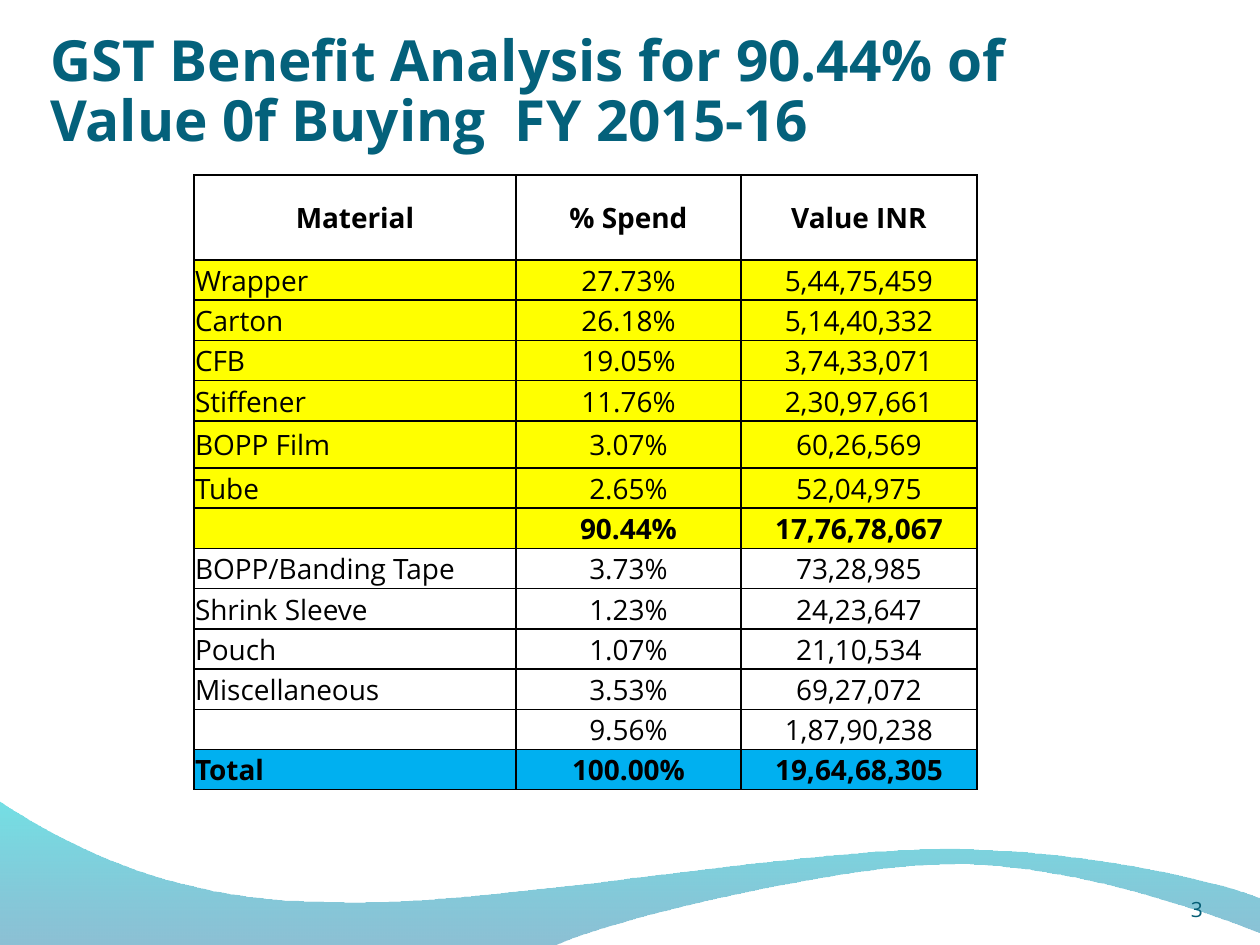
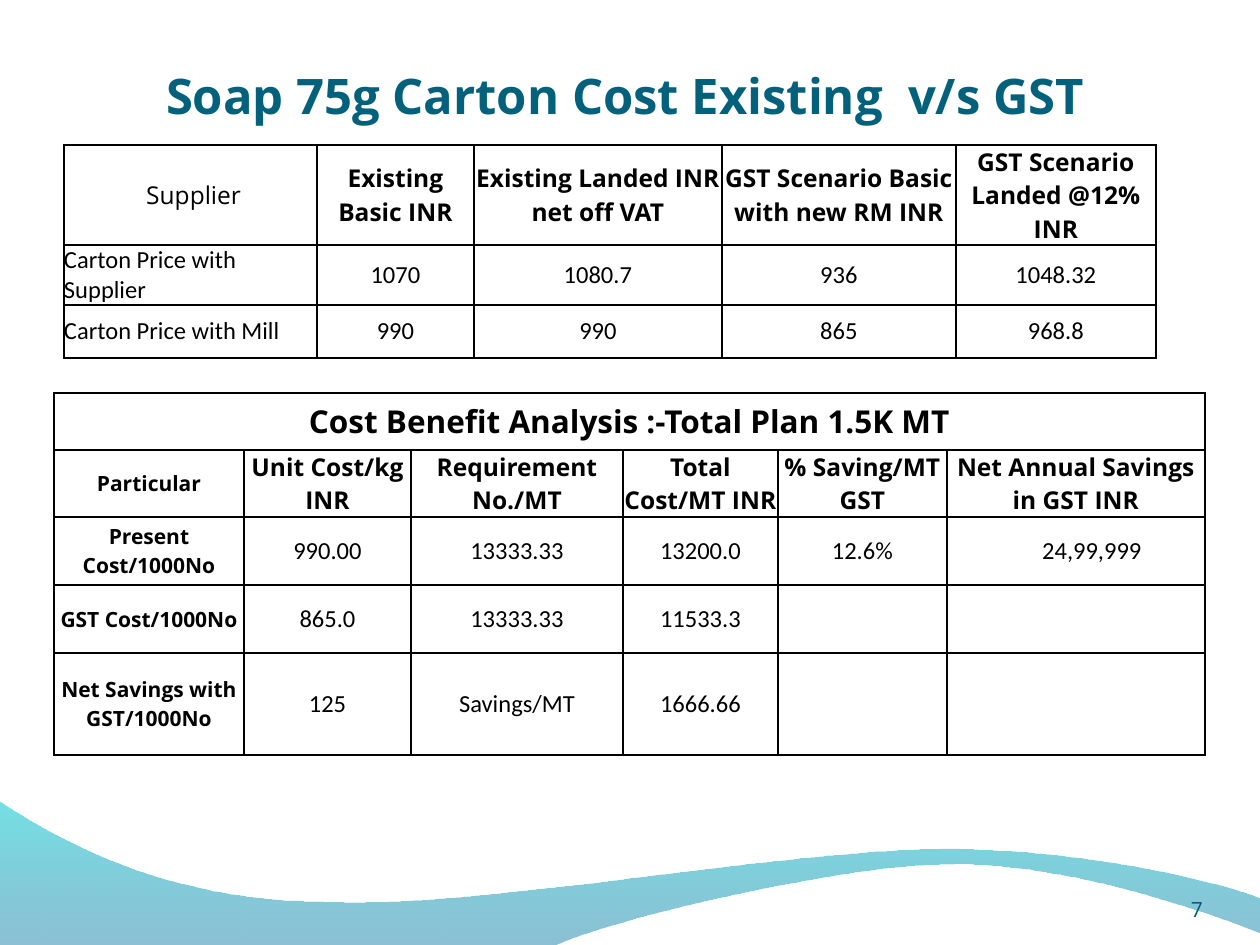
from lxml.etree import SubElement
from pptx import Presentation
from pptx.dml.color import RGBColor
from pptx.enum.text import MSO_ANCHOR, MSO_AUTO_SIZE, PP_ALIGN
from pptx.oxml import parse_xml
from pptx.oxml.ns import nsdecls, qn
from pptx.util import Pt

PX = 914400 / 126
PAGE_W, PAGE_H = 1260, 945

WHITE = RGBColor(0xFF, 0xFF, 0xFF)
BLACK = RGBColor(0, 0, 0)
YELLOW = RGBColor(0xFF, 0xFF, 0)
SKY = RGBColor(0, 0xB0, 0xF0)
TITLE_TEAL = RGBColor(0x04, 0x61, 0x7B)
NUMBER_TEAL = RGBColor(0x04, 0x5D, 0x75)
WAVE_STOPS = [(RGBColor(0, 0x74, 0xA1), 45), (RGBColor(0, 0xC6, 0xCF), 55)]

SANS, BODY = "Open Sans", "Calibri"

# Each curve: two control points and an end point; a single point is a line.
WAVE_START = (0, 945)
WAVE = [
    [(554, 945)],
    [(600, 922), (837, 864), (955, 864)],
    [(1075, 864), (1207, 912), (1260, 932)],
    [(1261, 898)],
    [(1239, 888), (1096, 848), (940, 849)],
    [(784, 849), (481, 908), (324, 901)],
    [(163, 900), (58, 839), (-1, 801)],
]

SPEND = [
    ("Material", "% Spend", "Value INR"),
    ("Wrapper", "27.73%", "5,44,75,459"),
    ("Carton", "26.18%", "5,14,40,332"),
    ("CFB", "19.05%", "3,74,33,071"),
    ("Stiffener", "11.76%", "2,30,97,661"),
    ("BOPP Film", "3.07%", "60,26,569"),
    ("Tube", "2.65%", "52,04,975"),
    ("", "90.44%", "17,76,78,067"),
    ("BOPP/Banding Tape", "3.73%", "73,28,985"),
    ("Shrink Sleeve", "1.23%", "24,23,647"),
    ("Pouch", "1.07%", "21,10,534"),
    ("Miscellaneous", "3.53%", "69,27,072"),
    ("", "9.56%", "1,87,90,238"),
    ("Total", "100.00%", "19,64,68,305"),
]
SPEND_HEIGHT, HEADER_HEIGHT, FILM_HEIGHT = 615, 85, 47
FILM_ROW, SUBTOTAL_ROW, TOTAL_ROW = 5, 7, 13

SUPPLIERS = [
    ("\u00a0Supplier", "Existing Basic INR", "Existing Landed INR net off VAT",
     "GST Scenario Basic with new RM INR", "GST Scenario Landed @12% INR"),
    ("Carton Price with Supplier", "1070", "1080.7", "936", "1048.32"),
    ("Carton Price with Mill", "990", "990", "865", "968.8"),
]

BENEFIT = [
    ("Cost Benefit Analysis :-Total Plan 1.5K MT", "", "", "", "", ""),
    ("Particular", "Unit Cost/kg INR", "Requirement No./MT",
     "Total Cost/MT INR", "% Saving/MT GST", "Net Annual Savings in GST INR"),
    ("Present Cost/1000No", "990.00", "13333.33", "13200.0", "12.6%",
     "24,99,999"),
    ("GST Cost/1000No", "865.0", "13333.33", "11533.3", "", ""),
    ("Net Savings with GST/1000No", "125", "Savings/MT", "1666.66", "", ""),
]


def px(length):
    """Turn pixels into whole EMU."""
    return round(length * PX)


def style_runs(paragraph, font, size, bold, color):
    """Format every run of a paragraph."""
    for run in paragraph.runs:
        run.font.name, run.font.size = font, Pt(size)
        run.font.bold, run.font.color.rgb = bold, color


def wave_points(steps=24):
    """Trace the wave outline as a list of points."""
    points = [WAVE_START]
    for segment in WAVE:
        if len(segment) == 1:
            points += segment
            continue
        corners = [points[-1]] + segment
        for step in range(1, steps + 1):
            t = step / steps
            weights = ((1 - t) ** 3, 3 * t * (1 - t) ** 2,
                       3 * t * t * (1 - t), t ** 3)
            points.append(tuple(sum(w * c[axis] for w, c in zip(weights, corners))
                                for axis in (0, 1)))
    return points


def add_wave(slide):
    """Draw the wave and hand it to the layout that all slides share."""
    start, *others = [(px(x), px(y)) for x, y in wave_points()]
    builder = slide.shapes.build_freeform(*start)
    builder.add_line_segments(others, close=True)
    wave = builder.convert_to_shape()
    wave.shadow.inherit = False
    wave.line.fill.background()
    wave.fill.gradient()
    wave.fill.gradient_angle = 90
    for stop, (color, opacity) in zip(wave.fill.gradient_stops, WAVE_STOPS):
        stop.color.rgb = color
    colors = wave.element.spPr.iter(qn("a:srgbClr"))
    for node, (color, opacity) in zip(colors, WAVE_STOPS):
        SubElement(node, qn("a:alpha")).set("val", str(opacity * 1000))
    slide.slide_layout.shapes.element.insert(2, wave.element)


def add_slide(deck, title, box, size, align, number):
    """Add a slide with its title and page number."""
    slide = deck.slides.add_slide(deck.slide_layouts[5])
    heading = slide.shapes.title
    heading.left, heading.top, heading.width, heading.height = map(px, box)
    frame = heading.text_frame
    frame.text = title
    frame.word_wrap, frame.auto_size = True, MSO_AUTO_SIZE.NONE
    frame.vertical_anchor = MSO_ANCHOR.BOTTOM
    frame.margin_left = frame.margin_right = frame.margin_top = px(6)
    frame.margin_bottom = px(1)
    paragraph = frame.paragraphs[0]
    paragraph.alignment, paragraph.line_spacing = align, 0.89
    style_runs(paragraph, SANS, size, True, TITLE_TEAL)

    page = slide.shapes.add_textbox(px(1155), px(872), px(84), px(50)).text_frame
    page.text = str(number)
    page.word_wrap, page.vertical_anchor = True, MSO_ANCHOR.BOTTOM
    page.margin_left = page.margin_right = page.margin_top = page.margin_bottom = 0
    page.paragraphs[0].alignment = PP_ALIGN.CENTER
    style_runs(page.paragraphs[0], SANS, 12, False, NUMBER_TEAL)
    return slide


def add_borders(cell):
    """Give a cell thin black lines on all sides."""
    properties = cell._tc.get_or_add_tcPr()
    for place, side in enumerate(("lnL", "lnR", "lnT", "lnB")):
        properties.insert(place, parse_xml(
            f'<a:{side} {nsdecls("a")} w="{Pt(1)}"><a:solidFill>'
            f'<a:srgbClr val="{BLACK}"/></a:solidFill></a:{side}>'))


def add_grid(slide, rows, corner, widths, heights, look, inset=0):
    """Add a table; look(row, column) gives font, size, bold, align, fill."""
    left, top = corner
    table = slide.shapes.add_table(
        len(rows), len(widths), px(left), px(top),
        px(sum(widths)), px(sum(heights))).table
    table.first_row = table.horz_banding = False
    for column, width in zip(table.columns, widths):
        column.width = px(width)
    for r, (texts, height) in enumerate(zip(rows, heights)):
        table.rows[r].height = px(height)
        for c, text in enumerate(texts):
            font, size, bold, align, fill = look(r, c)
            cell = table.cell(r, c)
            cell.text = text
            cell.vertical_anchor = MSO_ANCHOR.MIDDLE
            cell.margin_left = cell.margin_right = cell.margin_top = px(inset)
            cell.margin_bottom = 0
            if fill is None:
                cell.fill.background()
            else:
                cell.fill.solid()
                cell.fill.fore_color.rgb = fill
            add_borders(cell)
            paragraph = cell.text_frame.paragraphs[0]
            paragraph.alignment = align
            style_runs(paragraph, font, size, bold, BLACK)
            if not text:
                ending = SubElement(paragraph._p, qn("a:endParaRPr"))
                ending.set("sz", str(size * 100))
    return table


def spend_look(row, column):
    """Style the spend table: header, yellow group, rest, total."""
    bold = row in (0, SUBTOTAL_ROW, TOTAL_ROW)
    align = PP_ALIGN.LEFT if row and column == 0 else PP_ALIGN.CENTER
    if row == TOTAL_ROW:
        fill = SKY
    else:
        fill = YELLOW if 1 <= row <= SUBTOTAL_ROW else WHITE
    return SANS, 16, bold, align, fill


def supplier_look(row, column):
    """Style the supplier table: bold header, plain body."""
    if row == 0:
        return SANS, 14, column > 0, PP_ALIGN.CENTER, None
    align = PP_ALIGN.CENTER if column else PP_ALIGN.LEFT
    return BODY, 14, False, align, None


def benefit_look(row, column):
    """Style the benefit table: banner, header, row labels, figures."""
    if row == 0:
        size = 18
    else:
        size = 14 if column else 12
    heading = row < 2 or column == 0
    return SANS if heading else BODY, size, heading, PP_ALIGN.CENTER, None


deck = Presentation()
deck.slide_width, deck.slide_height = px(PAGE_W), px(PAGE_H)

spend = add_slide(deck, "GST Benefit Analysis for 90.44% of Value 0f Buying  FY 2015-16",
                  (44, 26, 1091, 129), 32.4, PP_ALIGN.LEFT, 3)
add_wave(spend)
plain_height = (SPEND_HEIGHT - HEADER_HEIGHT - FILM_HEIGHT) / (len(SPEND) - 2)
spend_heights = [plain_height] * len(SPEND)
spend_heights[0], spend_heights[FILM_ROW] = HEADER_HEIGHT, FILM_HEIGHT
add_grid(spend, SPEND, (194, 175), (322, 225, 236), spend_heights, spend_look, 1)

carton = add_slide(deck, "Soap 75g Carton Cost Existing  v/s GST",
                   (63, 37, 1124, 89), 28, PP_ALIGN.CENTER, 7)
add_grid(carton, SUPPLIERS, (64, 145), (253, 157, 248, 234, 200),
         (100, 60, 53), supplier_look)
benefit = add_grid(carton, BENEFIT, (54, 393), (190, 167, 212, 155, 169, 258),
                   (57, 67, 68, 68, 102), benefit_look)
benefit.cell(0, 0).merge(benefit.cell(0, 5))
benefit.cell(2, 5).margin_left = px(32)

deck.save("out.pptx")
